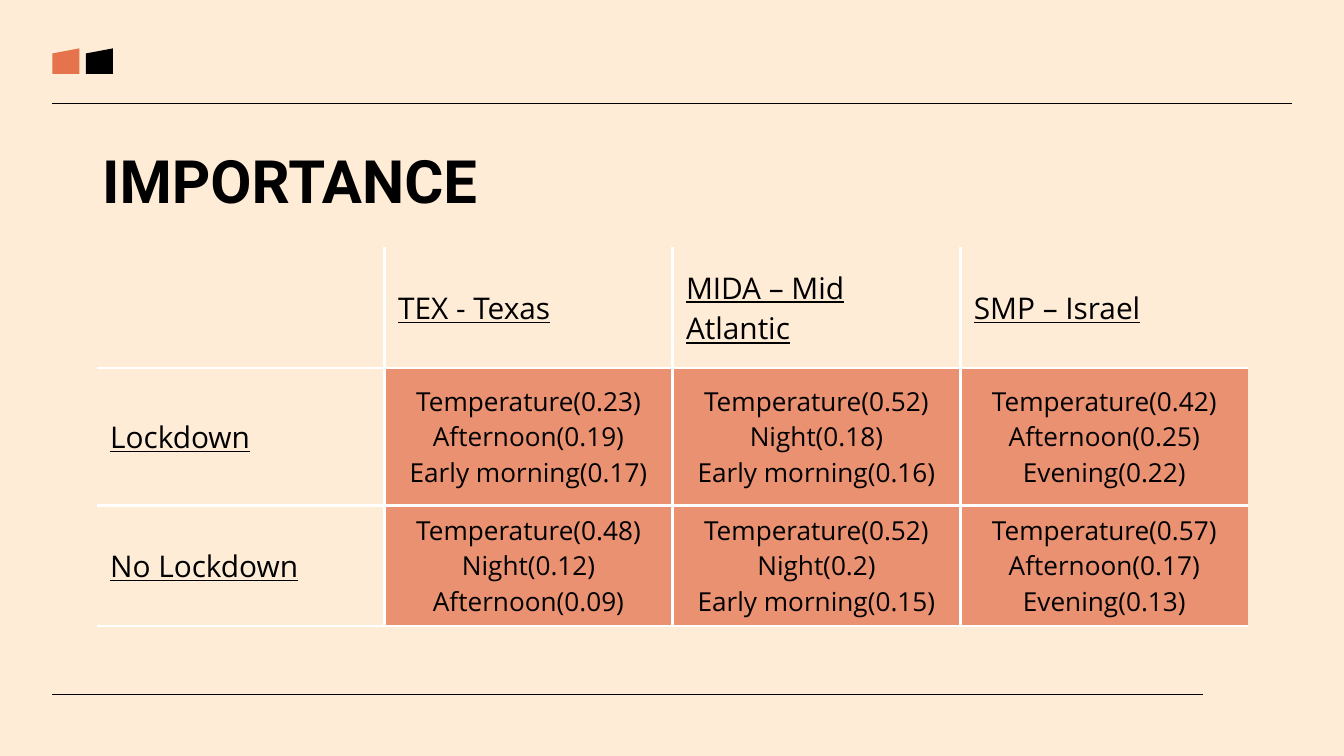
from pptx import Presentation
from pptx.dml.color import RGBColor
from pptx.enum.shapes import MSO_CONNECTOR, MSO_SHAPE
from pptx.enum.text import MSO_ANCHOR, MSO_AUTO_SIZE, PP_ALIGN
from pptx.oxml.ns import qn
from pptx.util import Inches, Pt
from lxml.etree import SubElement

CREAM = RGBColor(0xFF, 0xEC, 0xD6)
ORANGE = RGBColor(0xE5, 0x74, 0x4C)
SALMON = RGBColor(0xEA, 0x91, 0x72)
BLACK = RGBColor(0, 0, 0)
WHITE = RGBColor(0xFF, 0xFF, 0xFF)

LEFT = 0.39
TABLE_LEFT = 0.72
TABLE_WIDTH = 8.57
ROW_HEIGHTS = (0.9, 1.02, 0.9)
ROWS = (
    ("", "TEX - Texas", "MIDA – Mid Atlantic", "SMP – Israel"),
    ("Lockdown",
     "Temperature(0.23)\nAfternoon(0.19)\nEarly morning(0.17)",
     "Temperature(0.52)\nNight(0.18)\nEarly morning(0.16)",
     "Temperature(0.42)\nAfternoon(0.25)\nEvening(0.22)"),
    ("No Lockdown",
     "Temperature(0.48)\nNight(0.12)\nAfternoon(0.09)",
     "Temperature(0.52)\nNight(0.2)\nEarly morning(0.15)",
     "Temperature(0.57)\nAfternoon(0.17)\nEvening(0.13)"),
)


def add_rule(page, right, top):
    rule = page.shapes.add_connector(
        MSO_CONNECTOR.STRAIGHT, Inches(LEFT), Inches(top), Inches(right), Inches(top))
    rule.line.color.rgb = BLACK
    rule.line.width = Pt(0.75)
    SubElement(rule._element.spPr, qn("a:effectLst"))


def add_marker(page, left, color):
    marker = page.shapes.add_shape(
        MSO_SHAPE.FLOWCHART_MANUAL_INPUT,
        Inches(left), Inches(0.36), Inches(0.2), Inches(0.19))
    marker.shadow.inherit = False
    marker.fill.solid()
    marker.fill.fore_color.rgb = color
    marker.line.fill.background()


def set_title(page, text):
    title = page.shapes.title
    title.left, title.top = Inches(TABLE_LEFT), Inches(0.97)
    title.width, title.height = Inches(3.61), Inches(0.63)
    frame = title.text_frame
    frame.text = text
    frame.auto_size = MSO_AUTO_SIZE.NONE
    frame.vertical_anchor = MSO_ANCHOR.TOP
    frame.margin_left = Inches(0.04)
    frame.margin_top = frame.margin_right = frame.margin_bottom = Inches(0.1)
    paragraph = frame.paragraphs[0]
    paragraph.alignment = PP_ALIGN.LEFT
    paragraph.line_spacing = 1.0
    paragraph.space_before = Pt(0)
    font = paragraph.font
    font.name, font.size, font.bold = "Roboto", Pt(32), True
    font.color.rgb = BLACK


def set_borders(cell, visible_edges):
    """Draw white lines on the given edges and none on the others."""
    properties = cell._tc.get_or_add_tcPr()
    for edge in "LRTB":
        line = SubElement(properties, qn(f"a:ln{edge}"), w=str(Pt(1.5)))
        if edge in visible_edges:
            fill = SubElement(line, qn("a:solidFill"))
            SubElement(fill, qn("a:srgbClr"), val=str(WHITE))
        else:
            SubElement(line, qn("a:noFill"))


def format_cell(cell, text, is_value, margin):
    cell.fill.solid()
    cell.fill.fore_color.rgb = SALMON if is_value else CREAM
    cell.vertical_anchor = MSO_ANCHOR.MIDDLE
    cell.margin_left = cell.margin_right = Inches(0.1)
    cell.margin_top = cell.margin_bottom = Inches(margin)
    cell.text = text
    for paragraph in cell.text_frame.paragraphs:
        paragraph.alignment = PP_ALIGN.CENTER if is_value else PP_ALIGN.LEFT
        font = paragraph.font
        font.name, font.size = "Open Sans", Pt(14 if is_value else 16)
        font.underline = not is_value
        font.color.rgb = BLACK


def add_importance_table(page):
    row_count, column_count = len(ROWS), len(ROWS[0])
    table = page.shapes.add_table(
        row_count, column_count, Inches(TABLE_LEFT), Inches(1.84),
        Inches(TABLE_WIDTH), Inches(sum(ROW_HEIGHTS))).table
    table.first_row = table.horz_banding = False
    for r, (height, texts) in enumerate(zip(ROW_HEIGHTS, ROWS)):
        table.rows[r].height = Inches(height)
        for c, text in enumerate(texts):
            is_value = r > 0 and c > 0
            edges = "B"
            edges += "T" if r > 0 else ""
            edges += "L" if c > 0 else ""
            edges += "R" if c < column_count - 1 else ""
            cell = table.cell(r, c)
            set_borders(cell, edges)
            tight = is_value and r == row_count - 1
            format_cell(cell, text, is_value, 0.05 if tight else 0.1)


def main():
    deck = Presentation()
    deck.slide_width = Inches(10)
    deck.slide_height = deck.slide_width * 9 // 16
    page = deck.slides.add_slide(deck.slide_layouts[5])
    page.background.fill.solid()
    page.background.fill.fore_color.rgb = CREAM
    add_rule(page, 9.61, 0.77)
    add_rule(page, 8.95, 5.17)
    add_marker(page, LEFT, ORANGE)
    add_marker(page, 0.64, BLACK)
    add_importance_table(page)
    set_title(page, "IMPORTANCE")
    deck.save("out.pptx")


if __name__ == "__main__":
    main()
